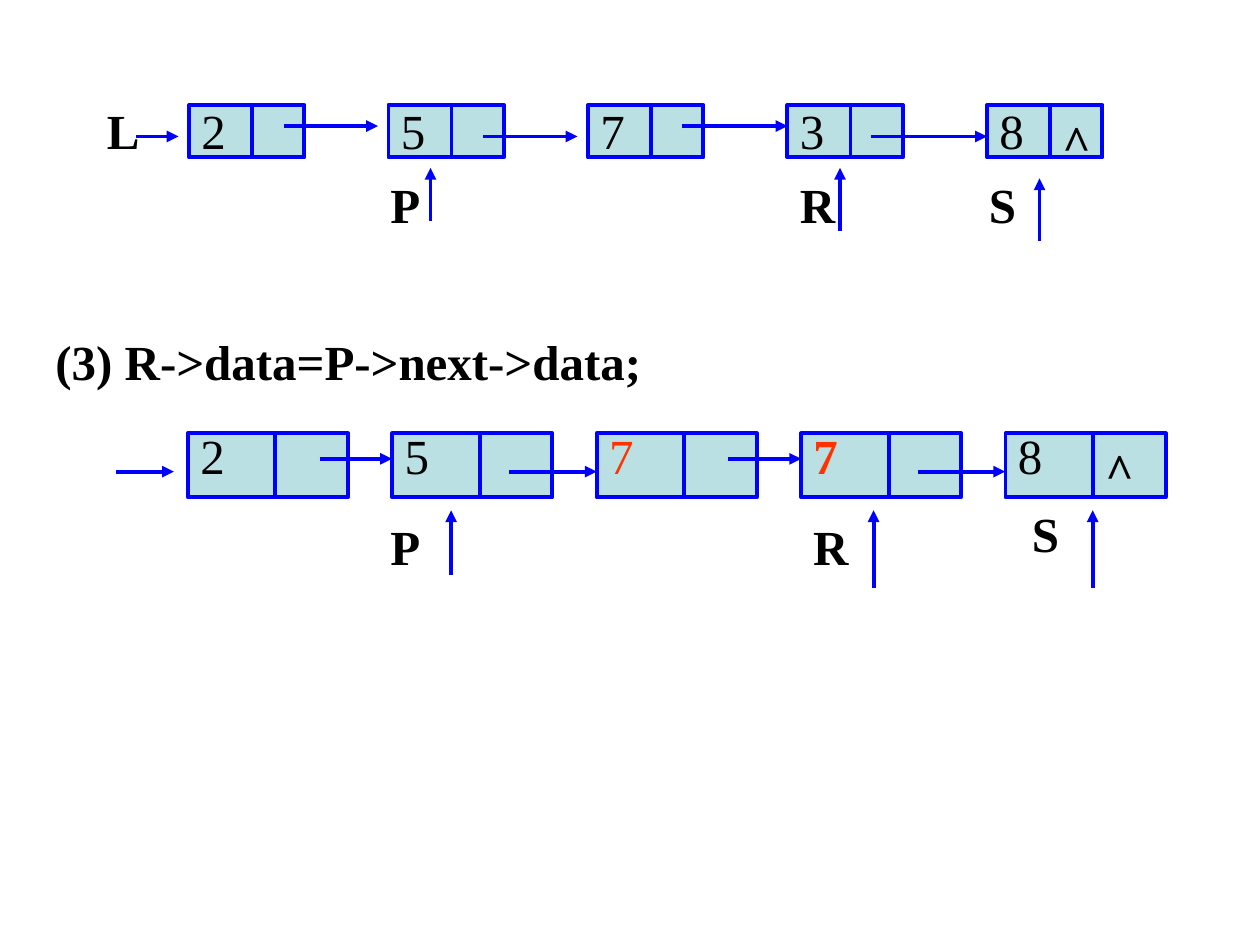
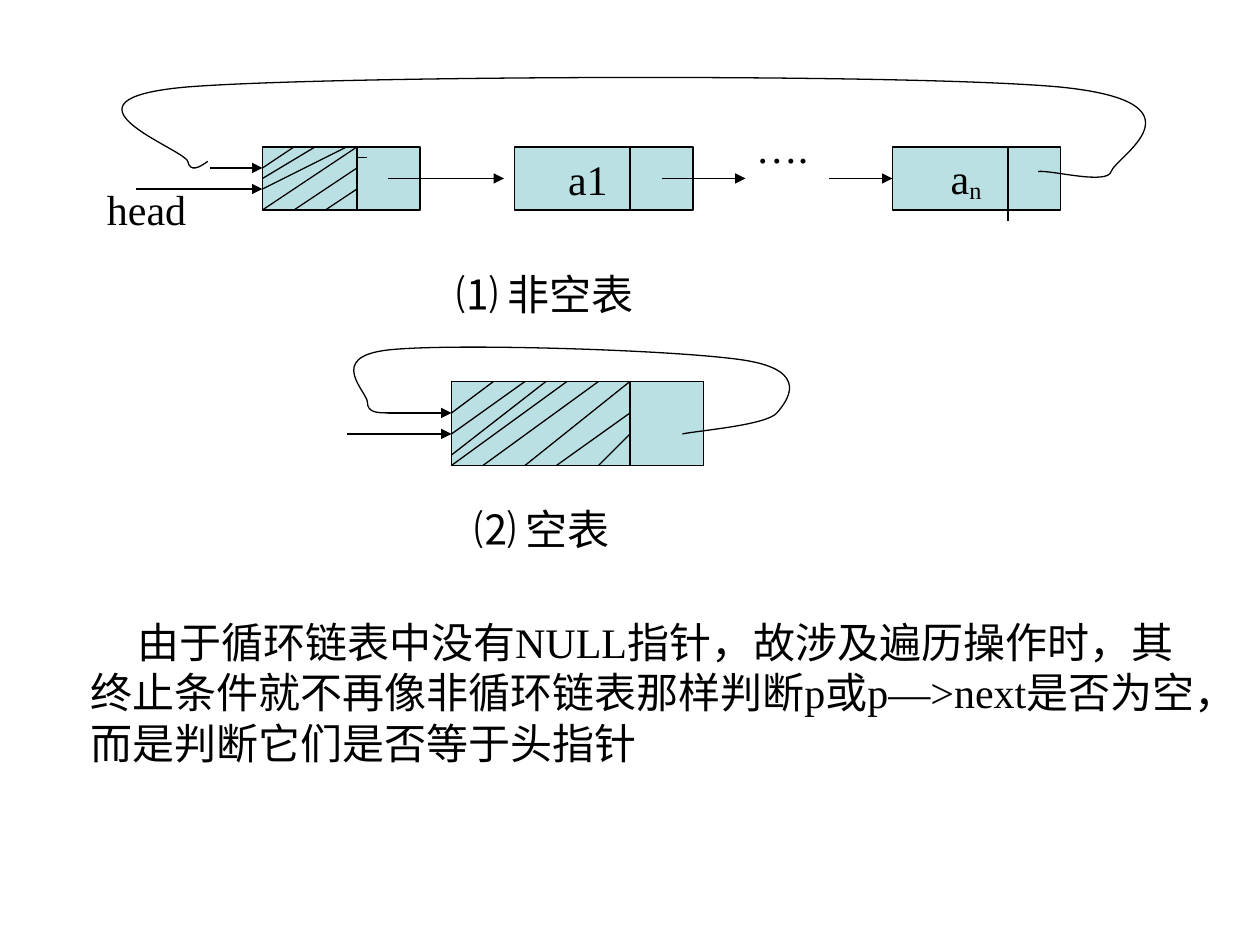
import pptx
import pptx.dml.color
import pptx.enum.shapes
import pptx.enum.text
import pptx.oxml
import pptx.oxml.ns
import pptx.util

Pt = pptx.util.Pt
RGBColor = pptx.dml.color.RGBColor
qn = pptx.oxml.ns.qn

BLACK = RGBColor(0x00, 0x00, 0x00)
BLUE = RGBColor(0x00, 0x00, 0xFF)
RED = RGBColor(0xFF, 0x33, 0x00)
CELL_FILL = RGBColor(0xBB, 0xE0, 0xE3)

FONT = "Times New Roman"
THICK_BLUE = {"color": BLUE, "width": 2.25}
THIN_BLACK = {"color": BLACK, "width": 0.75}
BLANK_LAYOUT = 6

# Link arrows are (start x, end x); pointers are
# (name, label x, label y, arrow x, arrow bottom, arrow top).
LIST_BEFORE = {
    "left": 108, "top": 60, "pitch": 114, "width": 66, "height": 30,
    "divider": 36, "text_rise": 6,
    "values": [("2", {}), ("5", {}), ("7", {}), ("3", {}), ("8", {})],
    "entry": (78, 102),
    "links": [(162, 216), (276, 330), (390, 450), (498, 564)],
    "link_heights": (72, 78),
    "pointers": [("P", 216, 96, 246, 126, 96),
                 ("R", 450, 96, 480, 132, 96),
                 ("S", 558, 96, 594, 138, 102)],
}
LIST_AFTER = {
    "left": 107.4, "top": 247.6, "pitch": 116.8, "width": 91.5, "height": 36.6,
    "divider": 50, "text_rise": 7.9,
    "values": [("2", {}), ("5", {}), ("7", {"color": RED}),
               ("7", {"color": RED, "bold": True}), ("8", {})],
    "entry": (66.2, 99.4),
    "links": [(182.8, 224), (291, 341), (416, 457.8), (524.4, 574.4)],
    "link_heights": (262.2, 269.5),
    "pointers": [("P", 216, 291.6, 257.8, 328.4, 291.6),
                 ("R", 457.6, 291.6, 499.2, 336.2, 291.6),
                 ("S", 582.6, 284.4, 624.4, 336.2, 291.6)],
}

# Circular list curves: a start point, then cubic Bezier segments.
LONG_LOOP = [(118.8, 92.2),
             (113.8, 95.8), (108.7, 98.6), (107.3, 92.2),
             (105.1, 85), (23.8, 56.9), (107.3, 49.7),
             (190, 43.2), (517, 41.8), (605, 49.7),
             (693.4, 58.3), (637.2, 90), (635, 98),
             (632.9, 105.8), (601.2, 97.2), (593.3, 98)]
SHORT_LOOP = [(222, 236),
              (216, 236), (210, 236), (210, 230),
              (210, 224), (186, 204), (222, 200),
              (258, 196), (389, 200), (426, 206),
              (463, 212), (450, 229), (444, 236),
              (438, 243), (400, 246), (390, 248)]

HEAD_HATCHING = [(168, 84, 150, 96), (180, 84, 150, 102), (198, 84, 150, 108),
                 (204, 84, 150, 120), (204, 96, 168, 120), (204, 108, 186, 120)]
EMPTY_HATCHING = [(282, 218, 258, 236), (300, 218, 258, 248), (312, 218, 258, 260),
                  (324, 218, 258, 266), (342, 218, 276, 266), (360, 218, 360, 218),
                  (360, 218, 300, 266), (360, 236, 318, 266), (360, 248, 342, 266)]


def set_attributes(target, values):
    for name, value in values.items():
        setattr(target, name, value)


def format_outline(shape, style):
    shape.line.color.rgb = style["color"]
    shape.line.width = Pt(style["width"])


def add_run(paragraph, text, size, color=BLACK, bold=False):
    run = paragraph.add_run()
    run.text = text
    set_attributes(run.font, {"name": FONT, "size": Pt(size), "bold": bold})
    run.font.color.rgb = color
    return run


def add_text(slide, text, left, top, width, height=41, size=28, **run_format):
    """Add a wrapping text box and return its paragraph."""
    box = slide.shapes.add_textbox(Pt(left), Pt(top), Pt(width), Pt(height))
    box.text_frame.word_wrap = True
    paragraph = box.text_frame.paragraphs[0]
    add_run(paragraph, text, size, **run_format)
    return paragraph


def add_line(slide, x1, y1, x2, y2, style, arrow=False):
    connector = slide.shapes.add_connector(
        pptx.enum.shapes.MSO_CONNECTOR.STRAIGHT, Pt(x1), Pt(y1), Pt(x2), Pt(y2))
    format_outline(connector, style)
    properties = connector._element.spPr
    if arrow:
        outline = properties.find(qn("a:ln"))
        outline.append(outline.makeelement(qn("a:tailEnd"), {"type": "triangle"}))
    properties.append(properties.makeelement(qn("a:effectLst"), {}))


def add_cell(slide, left, top, width, height, style):
    shape = slide.shapes.add_shape(
        pptx.enum.shapes.MSO_SHAPE.RECTANGLE, Pt(left), Pt(top), Pt(width), Pt(height))
    shape.shadow.inherit = False
    shape.fill.solid()
    shape.fill.fore_color.rgb = CELL_FILL
    format_outline(shape, style)
    return shape


def label_cell(shape, text, right_margin, subscript=""):
    """Centre a label left of the divider by widening the right margin."""
    frame = shape.text_frame
    set_attributes(frame, {
        "word_wrap": False,
        "vertical_anchor": pptx.enum.text.MSO_ANCHOR.MIDDLE,
        "margin_right": Pt(right_margin),
    })
    paragraph = frame.paragraphs[0]
    paragraph.alignment = pptx.enum.text.PP_ALIGN.CENTER
    add_run(paragraph, text, 24)
    if subscript:
        run = add_run(paragraph, subscript, 24)
        run._r.get_or_add_rPr().set("baseline", "-14000")


def bend_segments(curve):
    """Turn each three straight segments of a freeform into one cubic Bezier."""
    segments = list(curve._element.iter(qn("a:lnTo")))
    for first in range(0, len(segments), 3):
        group = segments[first:first + 3]
        bezier = group[0].makeelement(qn("a:cubicBezTo"), {})
        group[0].addprevious(bezier)
        for segment in group:
            bezier.append(segment[0])
            segment.getparent().remove(segment)


def add_curve(slide, nodes):
    points = [(Pt(x), Pt(y)) for x, y in nodes]
    builder = slide.shapes.build_freeform(*points[0])
    builder.add_line_segments(points[1:], close=False)
    curve = builder.convert_to_shape()
    bend_segments(curve)
    curve.shadow.inherit = False
    curve.fill.background()
    format_outline(curve, THIN_BLACK)


def add_linked_list(slide, chain):
    top, divider = chain["top"], chain["divider"]
    bottom = top + chain["height"]
    for index, (value, run_format) in enumerate(chain["values"]):
        left = chain["left"] + index * chain["pitch"]
        middle = left + divider
        add_cell(slide, left, top, chain["width"], chain["height"], THICK_BLUE)
        add_line(slide, middle, top, middle, bottom, THICK_BLUE)
        add_text(slide, value, left, top - chain["text_rise"], divider, **run_format)
    add_text(slide, "^", middle, top, chain["width"] - divider, bold=True)

    upper, lower = chain["link_heights"]
    start, end = chain["entry"]
    add_line(slide, start, lower, end, lower, THICK_BLUE, arrow=True)
    for index, (start, end) in enumerate(chain["links"]):
        y = lower if index % 2 else upper
        add_line(slide, start, y, end, y, THICK_BLUE, arrow=True)
    for name, label_x, label_y, x, tail_y, tip_y in chain["pointers"]:
        add_text(slide, name, label_x, label_y, 54, bold=True)
        add_line(slide, x, tail_y, x, tip_y, THICK_BLUE, arrow=True)


def add_lines(slide, lines, arrow=False):
    for line in lines:
        add_line(slide, *line, THIN_BLACK, arrow)


def build_assignment_slide(slide):
    add_text(slide, "L", 54, 54, 36, bold=True)
    add_linked_list(slide, LIST_BEFORE)
    add_text(slide, "(3) R->data=P->next->data;", 24.6, 185.8, 365, bold=True)
    add_linked_list(slide, LIST_AFTER)


def build_circular_slide(slide):
    add_cell(slide, 150, 84, 90, 36, THIN_BLACK)
    label_cell(add_cell(slide, 294, 84, 102, 36, THIN_BLACK), "a1", 25.2)
    label_cell(add_cell(slide, 510, 84, 96, 36, THIN_BLACK), "a", 19, "n")
    add_cell(slide, 258, 218, 144, 48, THIN_BLACK)

    dividers = [(204, 84, 204, 120), (360, 84, 360, 120),
                (576, 84, 576, 126), (360, 218, 360, 266)]
    head_tick = [(204, 90, 210, 90)]
    add_lines(slide, dividers + head_tick + HEAD_HATCHING + EMPTY_HATCHING)
    add_lines(slide, [(222, 102, 288, 102), (378, 102, 426, 102), (474, 102, 510, 102),
                      (78, 108, 150, 108), (120, 96, 150, 96),
                      (198, 248, 258, 248), (222, 236, 258, 236)], arrow=True)
    add_curve(slide, LONG_LOOP)
    add_curve(slide, SHORT_LOOP)

    for text, left, top, width in [("….", 424.8, 66.2, 49), ("head", 54, 101.6, 84),
                                   ("⑴ 非空表", 253.6, 149.8, 184),
                                   ("⑵ 空表", 264, 284.2, 138)]:
        add_text(slide, text, left, top, width, 36, size=24)
    explanation = add_text(
        slide,
        "由于循环链表中没有NULL指针，故涉及遍历操作时，其终止条件就不再像非循环链表那样"
        "判断p或p—>next是否为空，而是判断它们是否等于头指针",
        44.6, 348.8, 653, 94, size=24)
    explanation._p.get_or_add_pPr().set("indent", str(Pt(26.7)))


def main():
    presentation = pptx.Presentation()
    set_attributes(presentation, {"slide_width": Pt(720), "slide_height": Pt(540)})
    for build in (build_assignment_slide, build_circular_slide):
        build(presentation.slides.add_slide(presentation.slide_layouts[BLANK_LAYOUT]))
    presentation.save("out.pptx")


if __name__ == "__main__":
    main()
